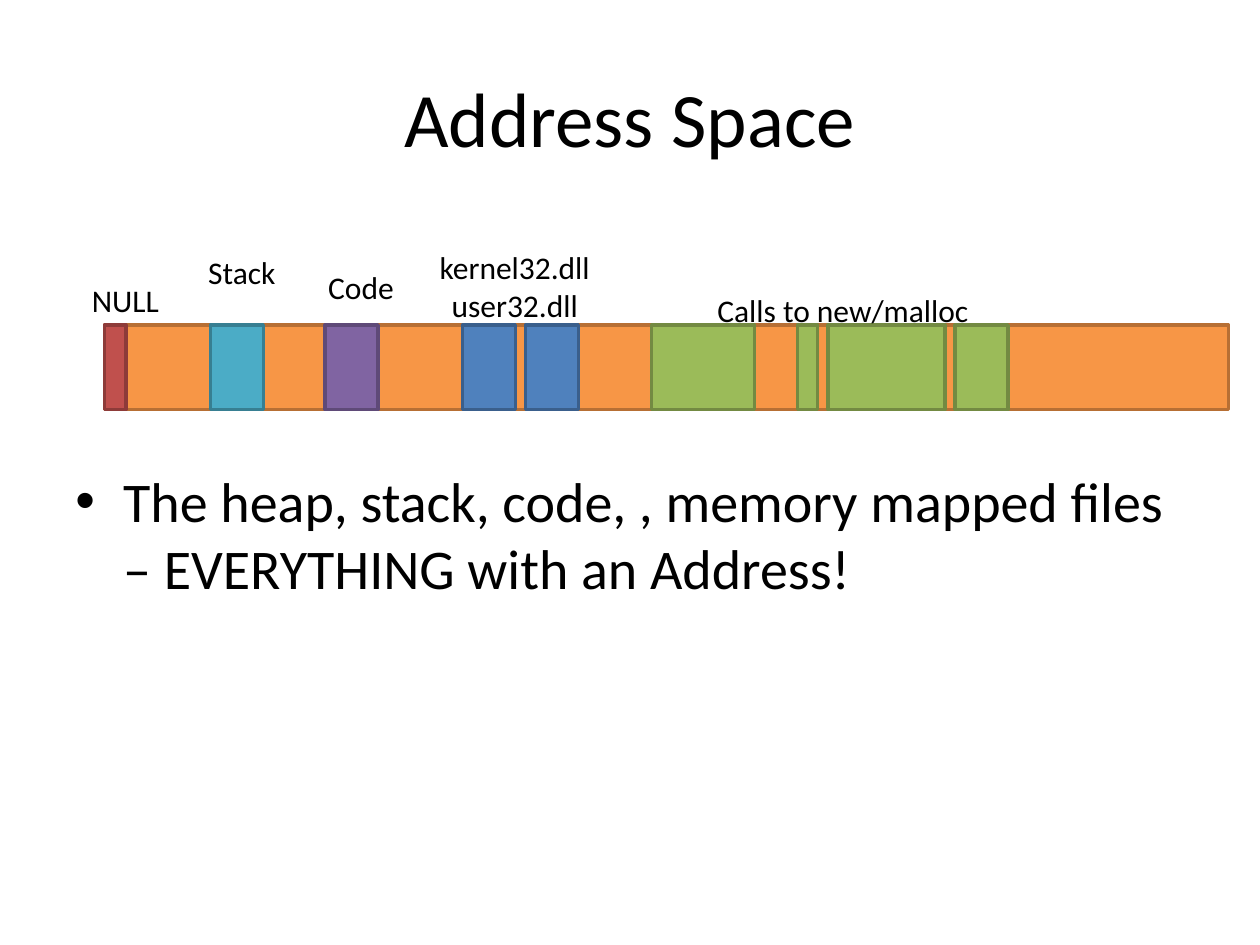
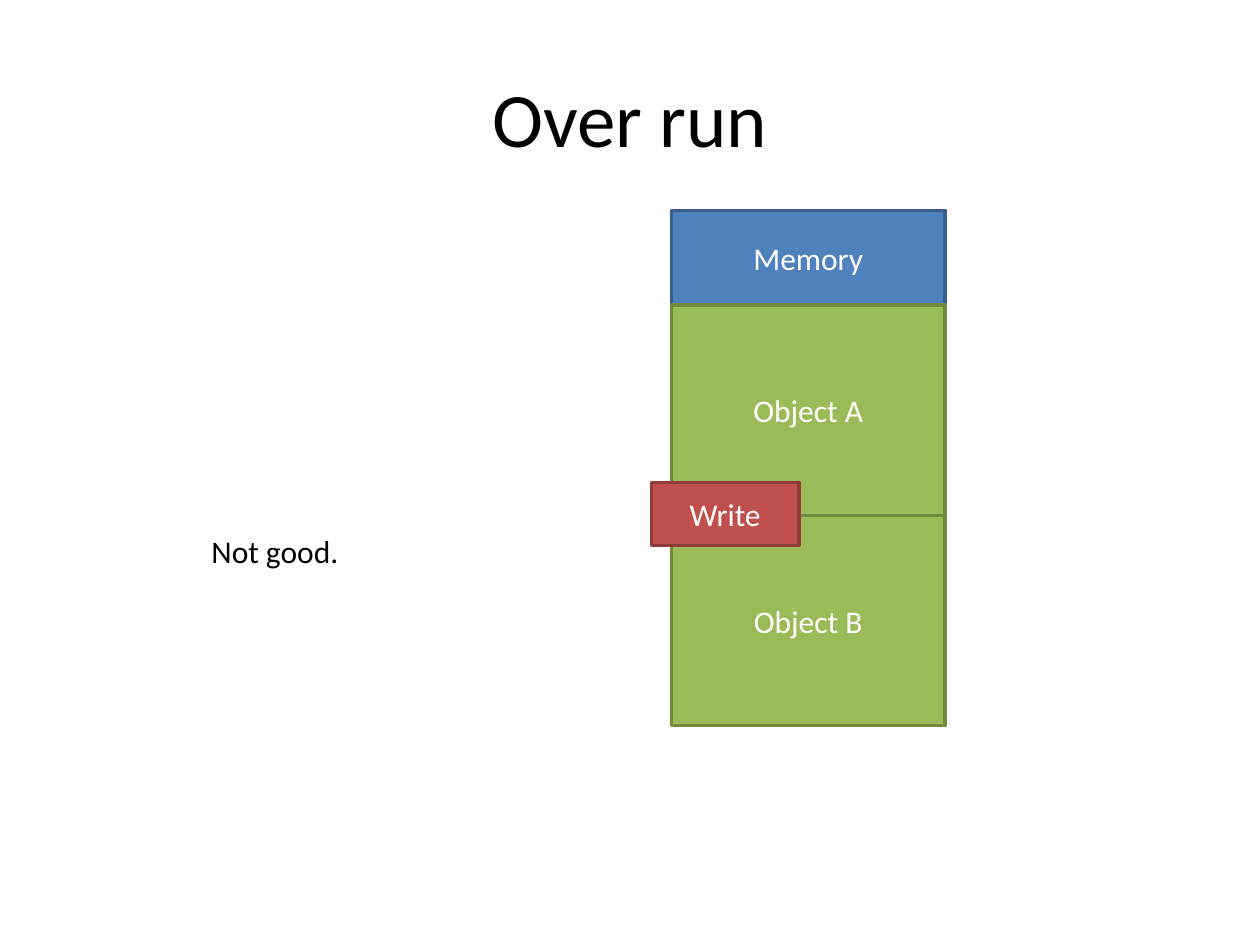
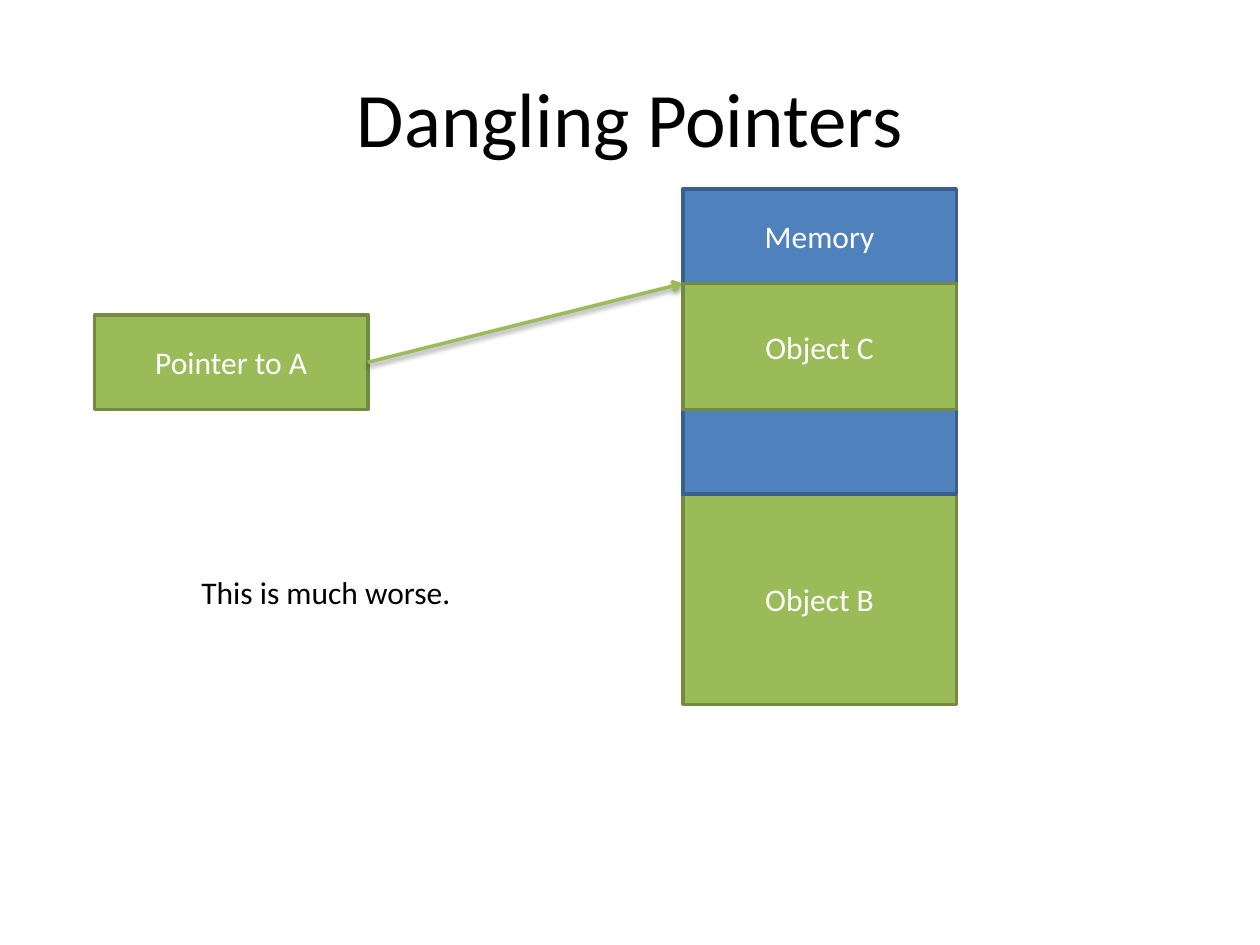
"""Build three slides on address space and memory errors."""
from dataclasses import dataclass

from lxml.etree import SubElement
from pptx import Presentation
from pptx.dml.color import RGBColor as Rgb
from pptx.enum.shapes import MSO_CONNECTOR as Link, MSO_SHAPE as Form
from pptx.enum.text import MSO_ANCHOR as Anchor, PP_ALIGN as Align
from pptx.oxml.ns import qn
from pptx.slide import Slide
from pptx.text.text import TextFrame as Frame
from pptx.util import Inches, Pt

FONT = "Calibri"
FILL = {
    "orange": "F79646", "teal": "4BACC6", "purple": "8064A2",
    "green": "9BBB59", "blue": "4F81BD", "red": "C0504D",
    "black": "000000", "white": "FFFFFF",
}
EDGE = {
    "orange": "B76F34", "teal": "377F92", "purple": "5F4A78",
    "green": "738A42", "blue": "3A5F8C", "red": "8E3B39",
}
BAR_TOP, BAR_HIGH = 2.58, 0.67
WIDE, SHORT, TALL = 2.17, 0.75, 1.67


@dataclass
class Box:
    """A filled block with an optional caption."""
    left: float
    top: float
    width: float
    height: float
    hue: str
    text: str = ""


@dataclass
class Label:
    """A line of text that stands free of any block."""
    left: float
    top: float
    width: float
    height: float
    text: str


def write(frame: Frame, text: str, *, size: int = 18, hue: str = "black",
          align: Align = Align.CENTER, anchor: Anchor = Anchor.TOP,
          wrap: bool = True, bullet: bool = False) -> None:
    """Fill a frame with one paragraph per line of text."""
    frame.word_wrap = wrap
    frame.vertical_anchor = anchor
    for num, line in enumerate(text.split("\n")):
        para = frame.add_paragraph() if num else frame.paragraphs[0]
        para.alignment = align
        run = para.add_run()
        run.text = line
        run.font.name = FONT
        run.font.size = Pt(size)
        run.font.color.rgb = Rgb.from_string(FILL[hue])
        if bullet:
            props = para._p.get_or_add_pPr()
            props.set("marL", str(Inches(0.38)))
            props.set("indent", str(Inches(-0.38)))
            SubElement(props, qn("a:buFont"), typeface="Arial")
            SubElement(props, qn("a:buChar"), char="•")


def frame(slide: Slide, left: float, top: float, width: float,
          height: float) -> Frame:
    """Add a text box and return its frame."""
    return slide.shapes.add_textbox(Inches(left), Inches(top), Inches(width),
                                    Inches(height)).text_frame


def block(slide: Slide, box: Box) -> None:
    """Draw a filled block with a darker edge."""
    shape = slide.shapes.add_shape(
        Form.RECTANGLE, Inches(box.left), Inches(box.top),
        Inches(box.width), Inches(box.height))
    shape.shadow.inherit = False
    shape.fill.solid()
    shape.fill.fore_color.rgb = Rgb.from_string(FILL[box.hue])
    shape.line.color.rgb = Rgb.from_string(EDGE[box.hue])
    shape.line.width = Pt(2)
    if box.text:
        write(shape.text_frame, box.text, hue="white", anchor=Anchor.MIDDLE)


def label(slide: Slide, item: Label, align: Align = Align.CENTER) -> None:
    """Draw a free label that does not wrap."""
    write(frame(slide, item.left, item.top, item.width, item.height),
          item.text, align=align, wrap=False)


def arrow(slide: Slide, left: float, top: float, right: float,
          end: float) -> None:
    """Draw a green arrow with a soft shadow."""
    line = slide.shapes.add_connector(Link.STRAIGHT, Inches(left), Inches(top),
                                      Inches(right), Inches(end))
    line.line.color.rgb = Rgb.from_string(FILL["green"])
    line.line.width = Pt(2)
    SubElement(line.line._get_or_add_ln(), qn("a:tailEnd"), type="arrow")
    list_ = SubElement(line._element.spPr, qn("a:effectLst"))
    shade = SubElement(list_, qn("a:outerShdw"), blurRad=str(Pt(3.1)),
                       dist=str(Pt(1.6)), dir="5400000", rotWithShape="0")
    tint = SubElement(shade, qn("a:srgbClr"), val=FILL["black"])
    SubElement(tint, qn("a:alpha"), val="38000")


def start(deck: Presentation, title: str) -> Slide:
    """Add a blank slide with a title."""
    slide = deck.slides.add_slide(deck.slide_layouts[6])
    write(frame(slide, 0.5, 0.3, 9, 1.25), title, size=44,
          anchor=Anchor.MIDDLE)
    return slide


def space(deck: Presentation) -> None:
    """Build the slide with the address bar."""
    slide = start(deck, "Address Space")
    write(frame(slide, 0.5, 3.65, 9, 3.05),
          "The heap, stack, code, , memory mapped files – "
          "EVERYTHING with an Address!",
          size=32, align=Align.LEFT, bullet=True)
    labels = [
        Label(1.55, 1.96, 0.74, 0.4, "Stack"),
        Label(0.57, 2.18, 0.85, 0.4, "NULL"),
        Label(5.5, 2.26, 2.38, 0.4, "Calls to new/malloc"),
        Label(3.34, 1.92, 1.49, 0.71, "kernel32.dll\nuser32.dll"),
        Label(2.5, 2.08, 0.73, 0.4, "Code"),
    ]
    parts = [
        (0.83, 8.92, "orange"), (1.67, 0.42, "teal"), (2.58, 0.42, "purple"),
        (6.33, 0.16, "green"), (5.17, 0.82, "green"), (6.57, 0.93, "green"),
        (7.58, 0.42, "green"), (4.17, 0.42, "blue"), (3.67, 0.42, "blue"),
        (0.83, 0.17, "red"),
    ]
    for left, width, hue in parts:
        block(slide, Box(left, BAR_TOP, width, BAR_HIGH, hue))
    for item in labels:
        label(slide, item)


def overrun(deck: Presentation) -> None:
    """Build the slide with a write across two objects."""
    slide = start(deck, "Over run")
    left, top = 5.33, 1.67
    for high, hue, text in [(SHORT, "blue", "Memory"),
                            (TALL, "green", "Object A"),
                            (TALL, "green", "Object B")]:
        block(slide, Box(left, top, WIDE, high, hue, text))
        top += high
    block(slide, Box(5.17, 3.83, 1.17, 0.5, "red", "Write"))
    label(slide, Label(1.58, 4.17, 1.22, 0.4, "Not good."), Align.LEFT)


def dangle(deck: Presentation) -> None:
    """Build the slide with a pointer to a replaced object."""
    slide = start(deck, "Dangling Pointers")
    left, top = 5.42, 1.5
    low = top + SHORT
    block(slide, Box(left, top, WIDE, SHORT, "blue", "Memory"))
    block(slide, Box(left, low + TALL, WIDE, TALL, "green", "Object B"))
    block(slide, Box(0.75, 2.5, WIDE, SHORT, "green", "Pointer to A"))
    arrow(slide, 0.75 + WIDE, 2.5 + SHORT / 2, left, low)
    block(slide, Box(left, low, WIDE, TALL, "blue"))
    label(slide, Label(1.5, 4.5, 2.2, 0.4, "This is much worse."), Align.LEFT)
    block(slide, Box(left, low, WIDE, 1, "green", "Object C"))


def main() -> None:
    """Build and save the deck."""
    deck = Presentation()
    deck.slide_width, deck.slide_height = Inches(10), Inches(7.5)
    for build in (space, overrun, dangle):
        build(deck)
    deck.save("out.pptx")


main()
